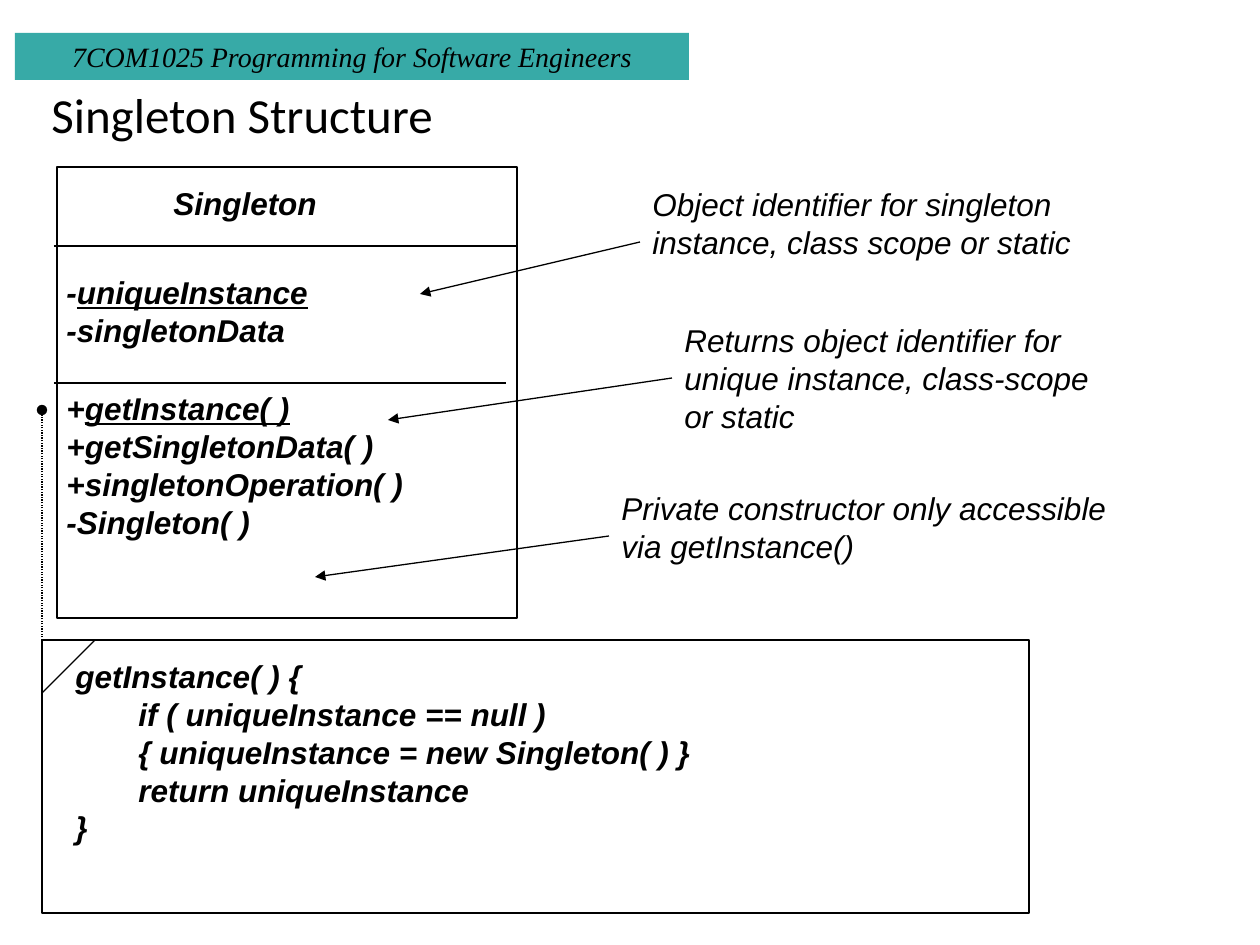
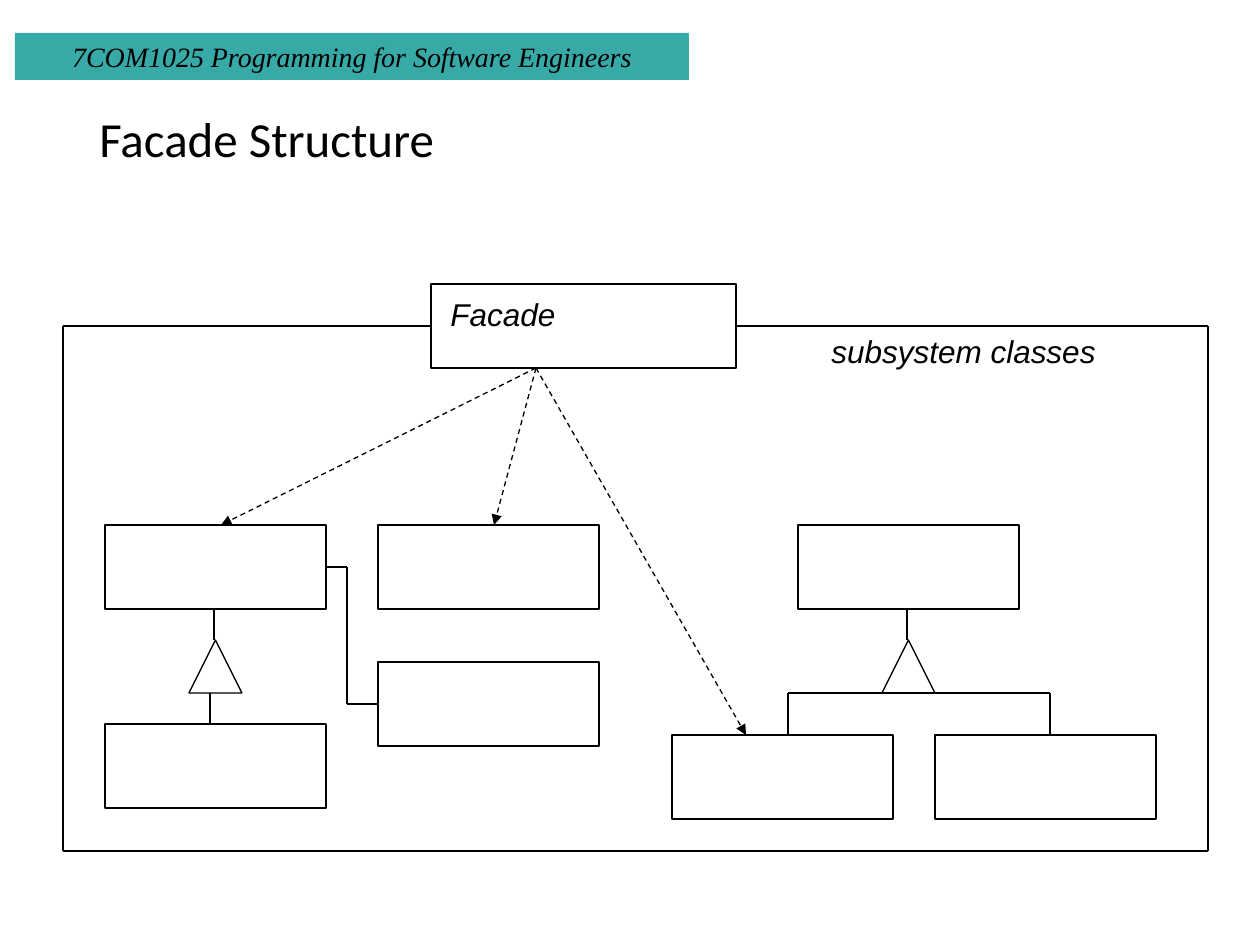
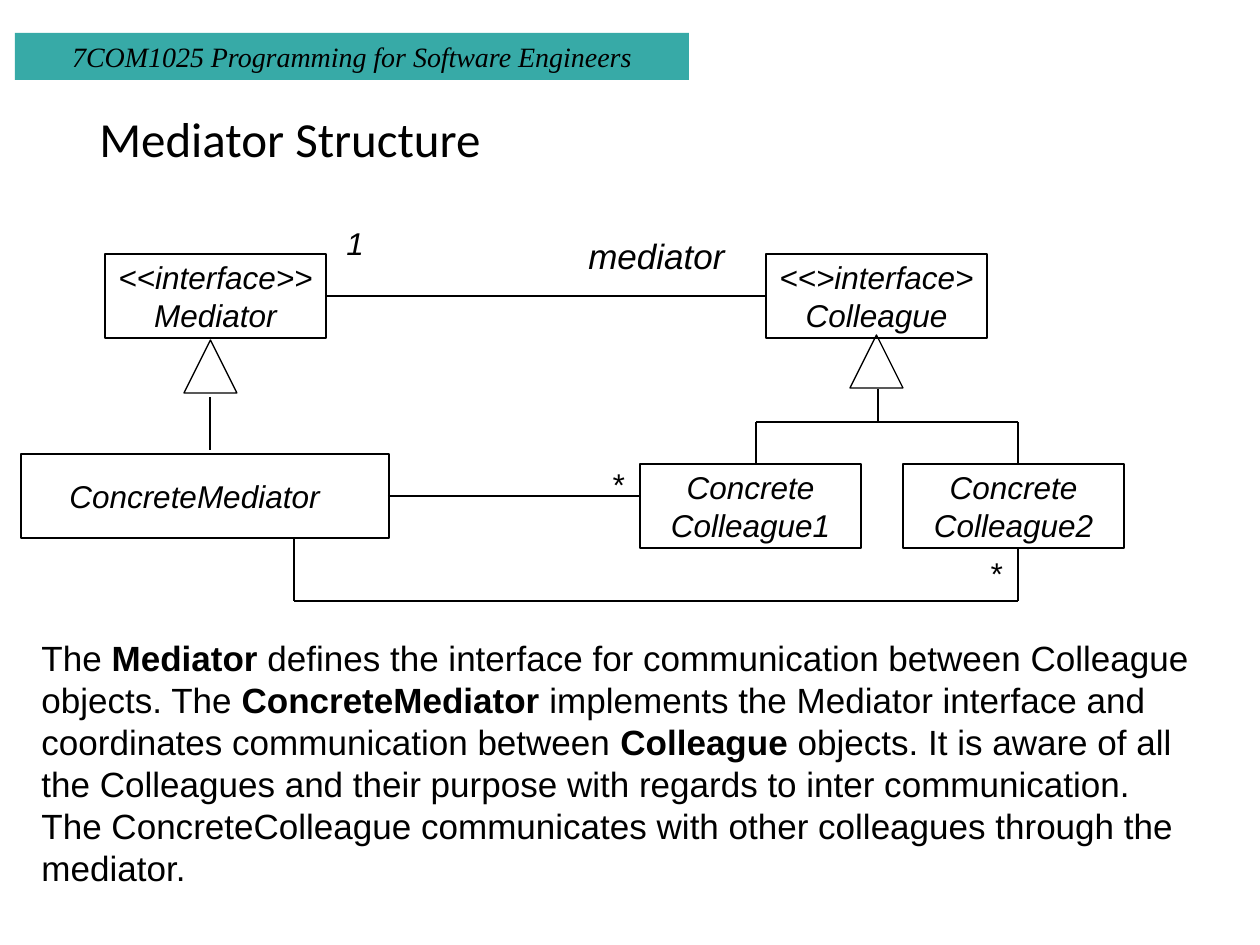
from lxml.etree import SubElement as Sub
from pptx import Presentation
from pptx.dml.color import RGBColor as Rgb
from pptx.enum.dml import MSO_LINE as Dash
from pptx.enum.shapes import MSO_CONNECTOR as Conn, MSO_SHAPE as Kind
from pptx.enum.text import MSO_ANCHOR as Anchor, MSO_AUTO_SIZE as Fit, PP_ALIGN as Align
from pptx.oxml.ns import qn
from pptx.util import Emu, Pt

SCALE = 914400 / 126
INK = {"black": "000000", "teal": "37AAA7"}
BOX_W, BOX_H = 221, 84
TIP = 53
FORK_W, FORK_H = 262, 42


def px(*vals):
    """Turn pixels into EMU."""
    return [Emu(round(v * SCALE)) for v in vals]


def tint(name):
    """Look up a colour by name."""
    return Rgb.from_string(INK[name])


def write(frame, paras, size=18, font="Arial", marks="", align=None, space=None):
    """Fill a frame; a paragraph is a string or a list of (text, marks) runs."""
    for i, runs in enumerate(paras):
        para = frame.paragraphs[0] if i == 0 else frame.add_paragraph()
        para.alignment = align
        para.line_spacing = space
        for words, extra in [(runs, "")] if isinstance(runs, str) else runs:
            run = para.add_run()
            run.text = words
            face = run.font
            face.name, face.size = font, Pt(size)
            face.color.rgb = tint("black")
            face.bold = "b" in marks + extra
            face.italic = "i" in marks + extra
            face.underline = "u" in marks + extra


def label(slide, at, *paras, wrap=False, fit=Fit.SHAPE_TO_FIT_TEXT,
          anchor=Anchor.TOP, **style):
    """Add a text box."""
    frame = slide.shapes.add_textbox(*px(*at)).text_frame
    frame.word_wrap = wrap
    frame.auto_size = fit
    frame.vertical_anchor = anchor
    write(frame, paras, **style)


def center(slide, at, words, size=18):
    """Add an italic label centred in its area."""
    label(slide, at, words, size=size, marks="i", fit=Fit.NONE,
          anchor=Anchor.MIDDLE, align=Align.CENTER)


def shape(slide, kind, at):
    """Add a hollow outlined shape."""
    item = slide.shapes.add_shape(kind, *px(*at))
    item.shadow.inherit = False
    item.fill.background()
    item.line.color.rgb = tint("black")
    item.line.width = Pt(0.75)
    return item


def box(slide, x, y, *paras, w=BOX_W, h=BOX_H):
    """Add a class box with optional centred lines."""
    frame = shape(slide, Kind.RECTANGLE, (x, y, w, h)).text_frame
    if paras:
        frame.word_wrap = False
        frame.vertical_anchor = Anchor.MIDDLE
        write(frame, paras, marks="i", align=Align.CENTER)


def tip(slide, x, y):
    """Add the triangle that marks inheritance."""
    shape(slide, Kind.ISOSCELES_TRIANGLE, (x, y, TIP, TIP))


def lines(slide, *points, dash=None, tail=None):
    """Join points with straight connectors."""
    for start, end in zip(points, points[1:]):
        item = slide.shapes.add_connector(Conn.STRAIGHT, *px(*start, *end))
        item.line.color.rgb = tint("black")
        item.line.width = Pt(0.75)
        if dash:
            item.line.dash_style = dash
        props = item._element.spPr
        if tail:
            Sub(props.find(qn("a:ln")), qn("a:tailEnd"), type=tail)
        Sub(props, qn("a:effectLst"))


def fork(slide, x, y, left=(), right=()):
    """Branch from a bar at x, y down to two child boxes."""
    low, far = y + FORK_H, x + FORK_W
    lines(slide, (x, low), (x, y), (far, y), (far, low))
    box(slide, x - 116, low, *left)
    box(slide, far - 115, low, *right)


def start(deck, title, at=(87, 50, 1086, 183)):
    """Add a slide with the course band and a title."""
    slide = deck.slides.add_slide(deck.slide_layouts[6])
    band = shape(slide, Kind.RECTANGLE, (15, 33, 674, 47))
    band.fill.solid()
    band.fill.fore_color.rgb = tint("teal")
    band.line.fill.background()
    band.text_frame.word_wrap = True
    band.text_frame.vertical_anchor = Anchor.TOP
    write(band.text_frame, ["7COM1025 Programming for Software Engineers"],
          size=16, font="Times New Roman", marks="i", align=Align.CENTER)
    label(slide, at, title, wrap=True, fit=Fit.NONE, anchor=Anchor.MIDDLE,
          size=28, font="Calibri", space=0.9)
    return slide


def single(deck):
    """Build the Singleton slide."""
    slide = start(deck, "Singleton Structure", (39, 39, 1071, 158))
    box(slide, 57, 167, w=460, h=451)
    label(slide, (161, 178, 217, 63), "Singleton", marks="bi")
    label(slide, (54, 267, 348, 113),
          [("-", ""), ("uniqueInstance", "u")], "-singletonData", marks="bi")
    label(slide, (54, 383, 474, 214),
          [("+", ""), ("getInstance( )", "u")], "+getSingletonData( )",
          "+singletonOperation( )", "-Singleton( )", marks="bi")
    lines(slide, (54, 383), (506, 383))
    lines(slide, (54, 246), (517, 246))
    notes = [
        ((640, 179, 525, 113), (640, 242), (420, 294),
         ["Object identifier for singleton", "instance, class scope or static"]),
        ((672, 315, 503, 164), (672, 378), (388, 420),
         ["Returns object identifier for ", "unique instance, class-scope", "or static"]),
        ((609, 483, 609, 113), (609, 536), (315, 577),
         ["Private constructor only accessible", "via getInstance()"]),
    ]
    for at, tail, head, paras in notes:
        label(slide, at, *paras, marks="i")
        lines(slide, tail, head, tail="triangle")
    label(slide, (63, 651, 887, 265), "getInstance( ) {",
          "\tif ( uniqueInstance == null ) ",
          "\t{ uniqueInstance = new Singleton( ) }",
          "\treturn uniqueInstance", "}", marks="bi")
    box(slide, 42, 640, w=987, h=273)
    lines(slide, (95, 640), (42, 693))
    lines(slide, (42, 640), (42, 410), dash=Dash.ROUND_DOT, tail="oval")


def facade(deck):
    """Build the Facade slide."""
    slide = start(deck, "Facade Structure")
    box(slide, 431, 284, w=305)
    label(slide, (438, 289, 165, 63), "Facade", marks="i")
    for x, y in [(105, 525), (378, 525), (378, 662), (105, 724), (798, 525)]:
        box(slide, x, y)
    fork(slide, 788, 693)
    for x, stem in [(882, 907), (189, 214)]:
        tip(slide, x, 640)
        lines(slide, (stem, 609), (stem, 640))
    lines(slide, (210, 693), (210, 724))
    lines(slide, (325, 567), (347, 567), (347, 704), (378, 704))
    for end in [(221, 525), (494, 525), (746, 735)]:
        lines(slide, (536, 368), end, dash=Dash.DASH, tail="triangle")
    lines(slide, (431, 326), (63, 326), (63, 851), (1208, 851), (1208, 326), (735, 326))
    label(slide, (819, 326, 378, 63), "subsystem classes", marks="i")


def mediate(deck):
    """Build the Mediator slide."""
    slide = start(deck, "Mediator Structure")
    box(slide, 105, 254, "<<interface>>", "Mediator")
    box(slide, 766, 254, "<<>interface>", "Colleague")
    box(slide, 21, 454, w=368)
    fork(slide, 756, 422, ["Concrete", "Colleague1"], ["Concrete", "Colleague2"])
    tip(slide, 850, 335)
    tip(slide, 184, 340)
    lines(slide, (878, 389), (878, 421))
    lines(slide, (210, 397), (210, 450))
    lines(slide, (325, 296), (766, 296))
    lines(slide, (388, 496), (640, 496))
    lines(slide, (1018, 548), (1018, 601), (294, 601), (294, 538))
    center(slide, (84, 454, BOX_W, BOX_H), "ConcreteMediator")
    center(slide, (546, 213, BOX_W, BOX_H), "mediator", size=20)
    for x, y, w, words in [(334, 218, 49, "1"), (599, 459, 42, "*"), (977, 548, 42, "*")]:
        label(slide, (x, y, w, 63), words, marks="i")
    label(slide, (29, 630, 1191, 267), [
        ("The ", ""), ("Mediator", "b"),
        (" defines the interface for communication between Colleague objects. The ", ""),
        ("ConcreteMediator", "b"),
        (" implements the Mediator interface and coordinates communication between ", ""),
        ("Colleague", "b"),
        (" objects. It is aware of all the Colleagues and their purpose"
         " with regards to inter communication.", "")],
        "The ConcreteColleague communicates with other colleagues through the mediator.",
        wrap=True, size=20)


def main():
    """Build and save the deck."""
    deck = Presentation()
    deck.slide_width, deck.slide_height = px(1260, 945)
    single(deck)
    facade(deck)
    mediate(deck)
    deck.save("out.pptx")


main()
